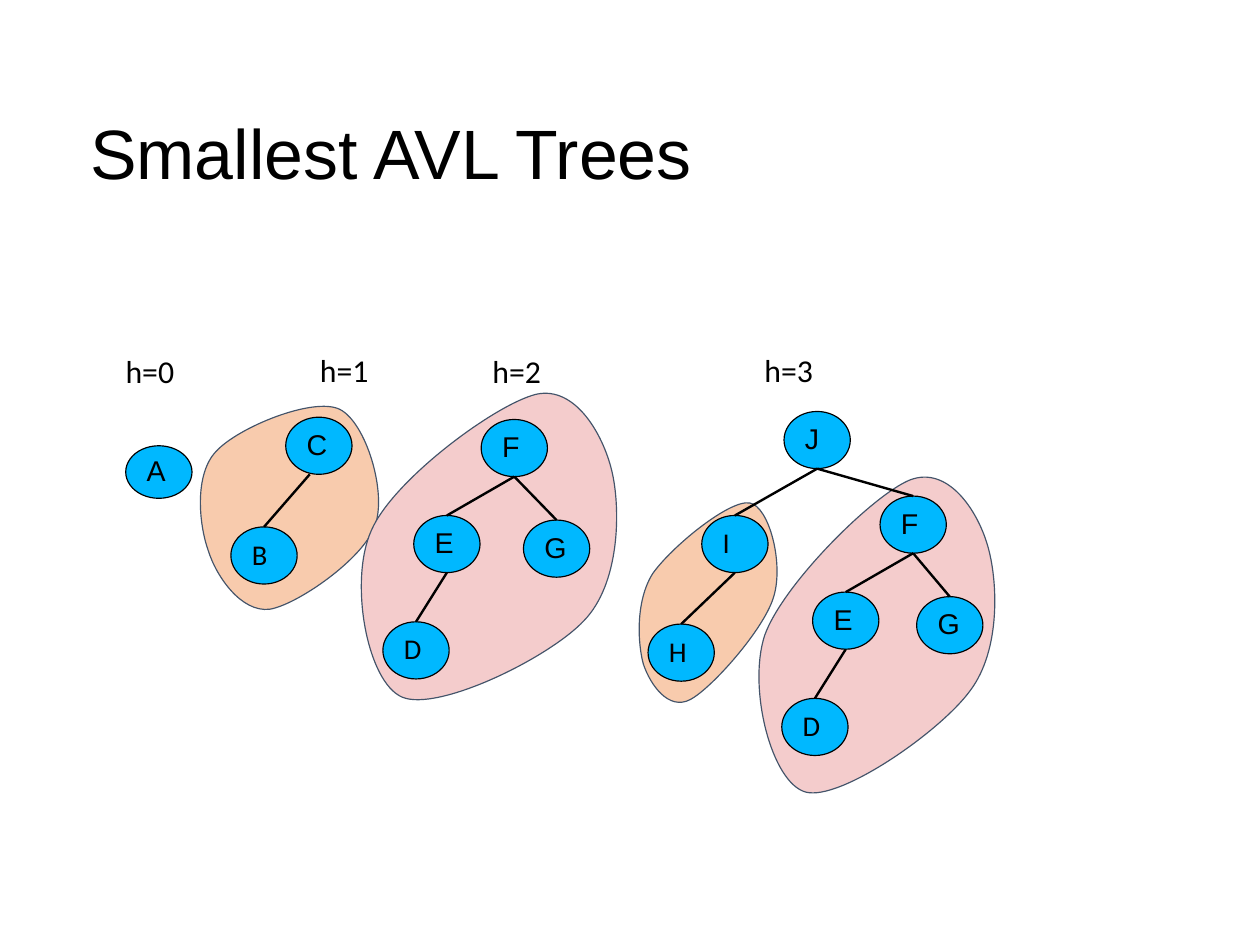
from lxml import etree
from pptx import Presentation
from pptx.dml.color import RGBColor
from pptx.enum.shapes import MSO_CONNECTOR, MSO_SHAPE
from pptx.enum.text import MSO_ANCHOR, MSO_AUTO_SIZE, PP_ALIGN
from pptx.oxml.ns import qn
from pptx.util import Emu, Pt

PX = 9144
PAGE = Emu(10080625), Emu(7559675)
OVAL, LINE = MSO_SHAPE.OVAL, MSO_CONNECTOR.STRAIGHT
MIDDLE, TOP, LEFT = MSO_ANCHOR.MIDDLE, MSO_ANCHOR.TOP, PP_ALIGN.LEFT
NO_FIT, GROW = MSO_AUTO_SIZE.NONE, MSO_AUTO_SIZE.SHAPE_TO_FIT_TEXT
BLACK = RGBColor(0x00, 0x00, 0x00)
BLUE = RGBColor(0x00, 0xB8, 0xFF)
SLATE = RGBColor(0x44, 0x54, 0x6A)
PEACH = RGBColor(0xF8, 0xCB, 0xAD)
PINK = RGBColor(0xF4, 0xCC, 0xCC)
WIDE, HIGH = 58, 50

BLOBS = [
    ((556, 437), PEACH, [
        (48, 175), (67, 165), (113, 113), (121, 85), (130, 56), (117, 6), (100, 3), (82, 0),
        (31, 42), (15, 65), (0, 89), (2, 126), (7, 144), (13, 162), (29, 185), (48, 175)]),
    ((654, 407), PINK, [
        (142, 13), (110, 26), (31, 104), (15, 149), (0, 195), (21, 278), (51, 286), (81, 294),
        (169, 233), (195, 197), (222, 161), (219, 100), (210, 70), (201, 39), (175, 0), (142, 13)]),
    ((170, 347), PEACH, [
        (66, 186), (90, 182), (148, 142), (158, 113), (169, 84), (150, 22), (127, 11), (104, 0),
        (38, 27), (19, 48), (0, 68), (4, 111), (12, 134), (19, 157), (41, 189), (66, 186)]),
    ((305, 337), PINK, [
        (164, 8), (128, 17), (39, 83), (20, 127), (0, 171), (16, 260), (47, 273), (78, 286),
        (175, 239), (206, 206), (237, 174), (238, 111), (231, 78), (224, 45), (199, 0), (164, 8)]),
]


def put(shape, text, size=18, font="Arial", anchor=MIDDLE, space=None, wrap=True, fit=NO_FIT):
    """Write one left-aligned black line of text into a shape."""
    frame = shape.text_frame
    frame.text = text
    frame.word_wrap, frame.auto_size = wrap, fit
    frame.vertical_anchor = anchor
    para = frame.paragraphs[0]
    para.alignment = LEFT
    if space:
        para.line_spacing = space
    para.font.size, para.font.name = Pt(size), font
    para.font.color.rgb = BLACK
    return frame


def paint(shape, fill, line):
    """Give a shape a plain fill and a thin outline."""
    shape.shadow.inherit = False
    shape.fill.solid()
    shape.fill.fore_color.rgb = fill
    shape.line.color.rgb = line
    shape.line.width = Pt(0.75)


def blob(slide, box, fill, dots):
    """Draw a closed curve whose points come in cubic triples after the first."""
    left, top = box
    spots = [(left + x, top + y) for x, y in dots]
    pen = slide.shapes.build_freeform(*spots[0], scale=PX)
    pen.add_line_segments(spots[1:], close=True)
    shape = pen.convert_to_shape()
    steps = list(shape._element.iter(qn("a:lnTo")))
    for i in range(0, len(steps), 3):
        curve = etree.Element(qn("a:cubicBezTo"))
        steps[i].addprevious(curve)
        for step in steps[i:i + 3]:
            curve.append(step[0])
            step.getparent().remove(step)
    paint(shape, fill, SLATE)


def label(slide, box, text):
    """Place a height label."""
    left, top = box
    text_box = slide.shapes.add_textbox(left * PX, top * PX, 68 * PX, 41 * PX)
    put(text_box, text, size=20, font="Calibri", anchor=TOP, wrap=False, fit=GROW)


def node(home, box, name, high=HIGH):
    """Draw one tree node with its letter."""
    left, top = box
    shape = home.add_shape(OVAL, left * PX, top * PX, WIDE * PX, high * PX)
    paint(shape, BLUE, BLACK)
    put(shape, name, font="Calibri" if name in "BDHI" else "Arial", space=0.93)


def edge(home, start, end, shift=0):
    """Join the foot of a parent node to the head of its child."""
    half = WIDE // 2
    line = home.add_connector(
        LINE, (start[0] + half + shift) * PX, (start[1] + HIGH) * PX,
        (end[0] + half) * PX, end[1] * PX)
    line.line.color.rgb = BLACK
    line.line.width = Pt(1.5)
    etree.SubElement(line._element.spPr, qn("a:effectLst"))


def tree(slide, box, nodes, links, shift=0):
    """Draw a grouped tree from node offsets and parent-child pairs."""
    home = slide.shapes.add_group_shape().shapes
    left, top = box
    spots = {name: (left + x, top + y) for name, (x, y) in nodes.items()}
    for name, spot in spots.items():
        node(home, spot, name)
    for start, end in links:
        edge(home, spots[start], spots[end], shift)


def fork(x, y, gap):
    """Return the offsets of the four-node tree rooted at F."""
    return {"F": (x, y), "E": (x - 59, y + 84), "D": (x - 86, y + 177), "G": (x + gap, y + 88)}


def head(slide, box, text):
    """Move and fill the title placeholder."""
    title = slide.shapes.title
    title.left, title.top, title.width, title.height = (n * PX for n in box)
    frame = put(title, text, size=44)
    frame.margin_left = frame.margin_right = frame.margin_bottom = 0
    frame.margin_top = 4 * PX


def main():
    """Build the slide and save it."""
    deck = Presentation()
    deck.slide_width, deck.slide_height = PAGE
    slide = deck.slides.add_slide(deck.slide_layouts[5])
    for box, fill, dots in BLOBS:
        blob(slide, box, fill, dots)
    head(slide, (79, 62, 925, 137), "Smallest AVL Trees")
    tags = [(100, 303), (270, 302), (421, 303), (659, 302)]
    for rank, box in enumerate(tags):
        label(slide, box, f"h={rank}")
    node(slide.shapes, (110, 390), "A", high=46)
    tree(slide, (250, 365), {"C": (0, 0), "B": (-48, 96)}, ["CB"], shift=-8)
    links = ["FE", "FG", "ED"]
    tree(slide, (421, 367), fork(0, 0, 37), links)
    nodes = {"J": (0, 0), "I": (-72, 91), "H": (-119, 186), **fork(84, 74, 32)}
    tree(slide, (686, 360), nodes, ["JI", "JF", "IH"] + links)
    deck.save("out.pptx")


if __name__ == "__main__":
    main()
